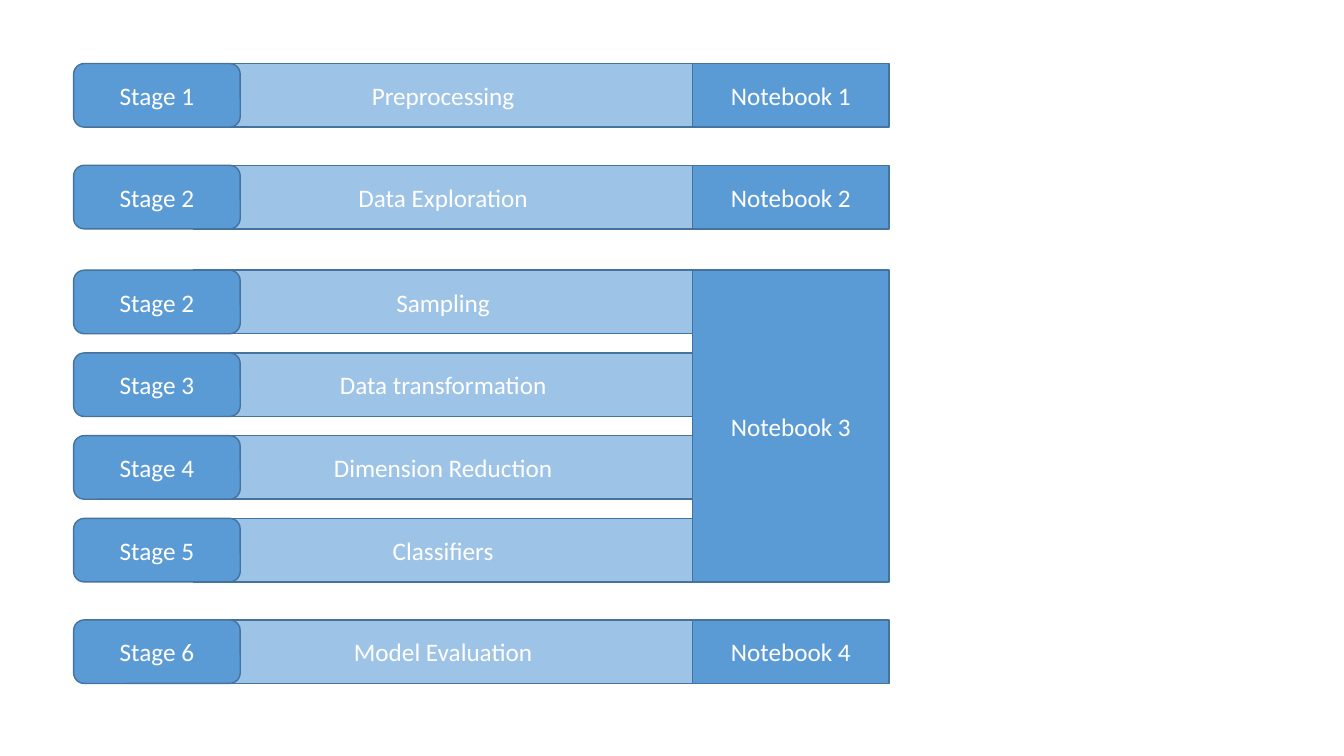
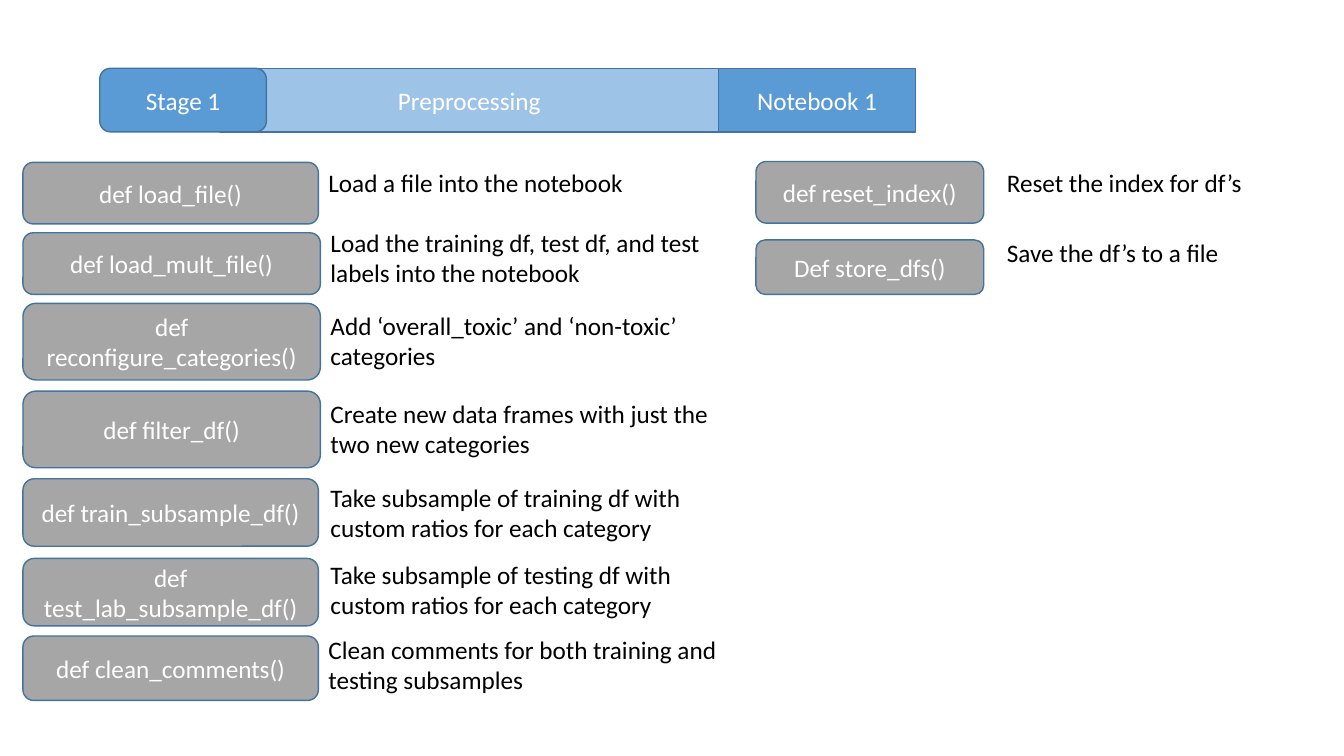
from dataclasses import dataclass

from pptx import Presentation
from pptx import util as u
from pptx.dml.color import RGBColor
from pptx.enum import shapes, text

# Content: (top, notebook, [(stage, task), ...])
PIPELINE = [
    (45.4, "Notebook 1", [("Stage 1", "Preprocessing")]),
    (118.1, "Notebook 2", [("Stage 2", "Data Exploration")]),
    (193, "Notebook 3", [
        ("Stage 2", "Sampling"),
        ("Stage 3", "Data transformation"),
        ("Stage 4", "Dimension Reduction"),
        ("Stage 5", "Classifiers"),
    ]),
    (442.8, "Notebook 4", [("Stage 6", "Model Evaluation")]),
]

# Content: (name, top, width, height), (description, left, top, line count)
LOADING_FUNCTIONS = [
    (("def load_file()", 116, 211, 44),
     ("Load a file into the notebook", 227.5, 116, 1)),
    (("def load_mult_file()", 166.3, 212.4, 44),
     ("Load the training df, test df, and test labels into the notebook", 229, 159, 2)),
    (("def reconfigure_categories()", 216.7, 212.4, 54.7),
     ("Add ‘overall_toxic’ and ‘non-toxic’ categories", 229, 218.2, 2)),
    (("def filter_df()", 279.4, 212.4, 54.7),
     ("Create new data frames with just the two new categories", 229, 280.8, 2)),
    (("def train_subsample_df()", 342, 211, 48.2),
     ("Take subsample of training df with custom ratios for each category", 229, 340.6, 2)),
    (("def test_lab_subsample_df()", 398.9, 211, 48.2),
     ("Take subsample of testing df with custom ratios for each category", 229, 396, 2)),
    (("def clean_comments()", 454.3, 211, 46),
     ("Clean comments for both training and testing subsamples", 227.5, 449.3, 2)),
]
SAVING_FUNCTIONS = [
    (("def reset_index()", 115.4, 162.7, 44),
     ("Reset the index for df’s", 712.1, 116, 1)),
    (("Def store_dfs()", 171.4, 162.7, 38.9),
     ("Save the df’s to a file", 712.1, 166.3, 1)),
]
# (functions, box left, description width)
FUNCTION_COLUMNS = [(LOADING_FUNCTIONS, 16.4, 302.4), (SAVING_FUNCTIONS, 540, 196)]


@dataclass(frozen=True)
class Theme:
    """Colours and type shared by both slides."""
    strong: str = "5B9BD5"
    soft: str = "9DC3E6"
    grey: str = "A6A6A6"
    outline: str = "43739E"
    light: str = "FFFFFF"
    dark: str = "000000"
    font: str = "Calibri"
    size: float = 18
    line: float = 1


THEME = Theme()
RECTANGLE = shapes.MSO_SHAPE.RECTANGLE
ROUNDED = shapes.MSO_SHAPE.ROUNDED_RECTANGLE

PIPELINE_LEFT = 52.6
ROW_HEIGHT, ROW_PITCH = 45.4, 59.1
STAGE_WIDTH = 119
TASK_OFFSET, TASK_WIDTH = 85.7, 356.4
NOTEBOOK_OFFSET, NOTEBOOK_WIDTH = TASK_OFFSET + TASK_WIDTH, 140.4
TEXT_HEIGHTS = {1: 29, 2: 51}


def apply(target, values):
    """Set every attribute named in a dict of format values."""
    for name, value in values.items():
        setattr(target, name, value)


def write(shape, words, colour, align, frame_values):
    """Put one styled paragraph into a shape."""
    apply(shape.text_frame, {"word_wrap": True, **frame_values})
    paragraph = shape.text_frame.paragraphs[0]
    paragraph.alignment = align
    run = paragraph.add_run()
    run.text = words
    apply(run.font, {"name": THEME.font, "size": u.Pt(THEME.size)})
    run.font.color.rgb = RGBColor.from_string(colour)


def add_box(slide, kind, words, fill, *frame):
    """Add an outlined box with centred text; frame is left, top, width, height."""
    shape = slide.shapes.add_shape(kind, *map(u.Pt, frame))
    shape.shadow.inherit = False
    shape.fill.solid()
    shape.fill.fore_color.rgb = RGBColor.from_string(fill)
    shape.line.color.rgb = RGBColor.from_string(THEME.outline)
    shape.line.width = u.Pt(THEME.line)
    write(shape, words, THEME.light, text.PP_ALIGN.CENTER,
          {"vertical_anchor": text.MSO_ANCHOR.MIDDLE})


def add_description(slide, words, *frame):
    """Add a plain text box that grows with its text."""
    box = slide.shapes.add_textbox(*map(u.Pt, frame))
    write(box, words, THEME.dark, text.PP_ALIGN.LEFT,
          {"auto_size": text.MSO_AUTO_SIZE.SHAPE_TO_FIT_TEXT})


def add_notebook(slide, left, top, notebook, stages):
    """Add the stage rows of one notebook and the block that spans them."""
    for index, (stage, task) in enumerate(stages):
        row_top = top + index * ROW_PITCH
        add_box(slide, RECTANGLE, task, THEME.soft,
                left + TASK_OFFSET, row_top, TASK_WIDTH, ROW_HEIGHT)
        add_box(slide, ROUNDED, stage, THEME.strong,
                left, row_top, STAGE_WIDTH, ROW_HEIGHT)
    span = (len(stages) - 1) * ROW_PITCH + ROW_HEIGHT
    add_box(slide, RECTANGLE, notebook, THEME.strong,
            left + NOTEBOOK_OFFSET, top, NOTEBOOK_WIDTH, span)


def build_overview(slide):
    """Show every stage of the pipeline with its notebook."""
    for group in PIPELINE:
        add_notebook(slide, PIPELINE_LEFT, *group)


def build_preprocessing(slide):
    """Show the functions of the first notebook under its stage row."""
    _, notebook, stages = PIPELINE[0]
    add_notebook(slide, 71.3, 48.8, notebook, stages)
    for functions, box_left, text_width in FUNCTION_COLUMNS:
        for (name, top, width, height), (words, left, text_top, lines) in functions:
            add_box(slide, ROUNDED, name, THEME.grey, box_left, top, width, height)
            add_description(slide, words, left, text_top, text_width, TEXT_HEIGHTS[lines])


def main():
    """Build both slides and save the presentation."""
    presentation = Presentation()
    apply(presentation, {"slide_width": u.Pt(960), "slide_height": u.Pt(540)})
    blank = presentation.slide_layouts[6]
    for build in (build_overview, build_preprocessing):
        build(presentation.slides.add_slide(blank))
    presentation.save("out.pptx")


main()
